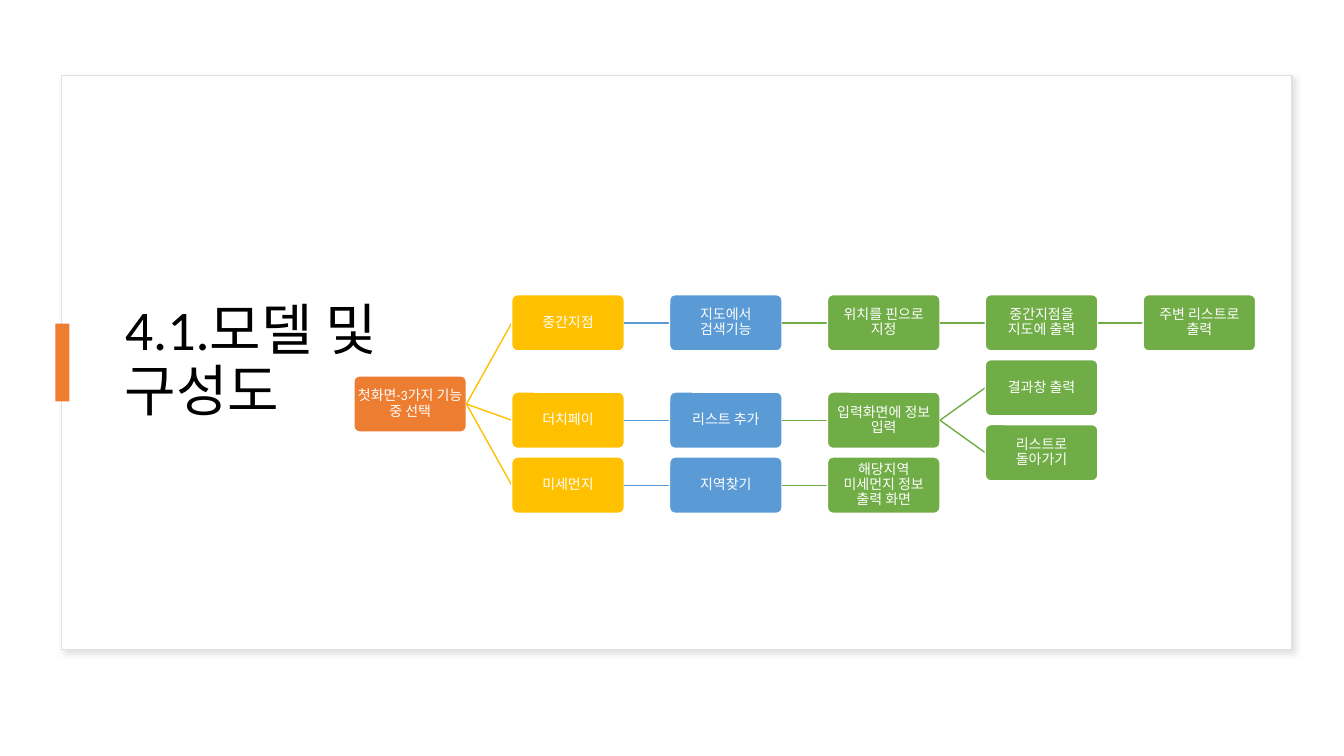
from lxml.etree import SubElement
from pptx import Presentation
from pptx.dml.color import RGBColor
from pptx.enum.shapes import MSO_CONNECTOR, MSO_SHAPE
from pptx.enum.text import MSO_ANCHOR, MSO_AUTO_SIZE, PP_ALIGN
from pptx.oxml.ns import qn
from pptx.util import Pt

COLORS = {
    "white": "FFFFFF",
    "black": "000000",
    "border": "E1E1E1",
    "shadow": "C5C3C3",
    "orange": "ED7D31",
    "gold": "FFC000",
    "blue": "5B9BD5",
    "green": "70AD47",
}
LEVEL_COLORS = ["orange", "gold", "blue", "green", "green", "green"]
FONT = "Calibri"

NODE_WIDTH, NODE_HEIGHT = 80.4, 40.2
COLUMN_STEP, ROW_STEP = 112.75, 46.4

FLOW = ("첫화면-3가지 기능 중 선택", 1.25, [
    ("중간지점", 0, [
        ("지도에서 검색기능", 0, [
            ("위치를 핀으로 지정", 0, [
                ("중간지점을 지도에 출력", 0, [
                    ("주변 리스트로 출력", 0, [])])])])]),
    ("더치페이", 1.5, [
        ("리스트 추가", 1.5, [
            ("입력화면에 정보 입력", 1.5, [
                ("결과창 출력", 1, []),
                ("리스트로 돌아가기", 2, [])])])]),
    ("미세먼지", 2.5, [
        ("지역찾기", 2.5, [
            ("해당지역 미세먼지 정보 출력 화면", 2.5, [])])]),
])


def color(name):
    return RGBColor.from_string(COLORS[name])


def add_block(page, kind, box, fill, line=None):
    block = page.shapes.add_shape(kind, *map(Pt, box))
    block.shadow.inherit = False
    block.fill.solid()
    block.fill.fore_color.rgb = color(fill)
    if line:
        block.line.color.rgb = color(line)
        block.line.width = Pt(1)
    else:
        block.line.fill.background()
    return block


def add_card(page, box):
    card = add_block(page, MSO_SHAPE.RECTANGLE, box, "white", "border")
    effects = card.element.spPr.find(qn("a:effectLst"))
    shadow = SubElement(effects, qn("a:outerShdw"), blurRad=str(Pt(4)),
                        dist=str(Pt(3)), dir="2700000", algn="tl", rotWithShape="0")
    tint = SubElement(shadow, qn("a:srgbClr"), val=COLORS["shadow"])
    SubElement(tint, qn("a:alpha"), val="50000")
    page.shapes.title.element.addprevious(card.element)


def add_heading(page, box, text):
    left, top, width, height = box
    title = page.shapes.title
    title.left, title.top, title.width, title.height = map(Pt, box)
    frame = title.text_frame
    frame.text = text
    frame.word_wrap = True
    frame.auto_size = MSO_AUTO_SIZE.NONE
    frame.vertical_anchor = MSO_ANCHOR.MIDDLE
    para = frame.paragraphs[0]
    para.alignment = PP_ALIGN.LEFT
    para.line_spacing = 0.9
    para.font.size = Pt(40)
    para.font.name = FONT
    para.font.color.rgb = color("black")
    accent = (left - 42.4, top + height / 2 - 28, 10, 55.5)
    add_block(page, MSO_SHAPE.RECTANGLE, accent, "orange")


def add_node(page, box, text, fill):
    node = add_block(page, MSO_SHAPE.ROUNDED_RECTANGLE, box, fill, "white")
    node.adjustments[0] = 0.1
    frame = node.text_frame
    frame.word_wrap = True
    frame.vertical_anchor = MSO_ANCHOR.MIDDLE
    frame.margin_left = frame.margin_right = Pt(1.75)
    frame.margin_top = frame.margin_bottom = Pt(1.75)
    frame.text = text
    para = frame.paragraphs[0]
    para.alignment = PP_ALIGN.CENTER
    para.line_spacing = 0.9
    para.font.size = Pt(10)
    para.font.name = FONT
    para.font.color.rgb = color("white")


def add_link(page, start, end, tint):
    link = page.shapes.add_connector(MSO_CONNECTOR.STRAIGHT, *map(Pt, start + end))
    link.line.color.rgb = color(tint)
    link.line.width = Pt(1)
    SubElement(link.element.spPr, qn("a:effectLst"))


def add_flow(page, origin, branch, level=0):
    text, row, children = branch
    left = origin[0] + level * COLUMN_STEP
    top = origin[1] + row * ROW_STEP
    add_node(page, (left, top, NODE_WIDTH, NODE_HEIGHT), text, LEVEL_COLORS[level])
    for child in children:
        start = (left + NODE_WIDTH, top + NODE_HEIGHT / 2)
        end = (left + COLUMN_STEP, origin[1] + child[1] * ROW_STEP + NODE_HEIGHT / 2)
        add_link(page, start, end, LEVEL_COLORS[level + 1])
        add_flow(page, origin, child, level + 1)


def main():
    deck = Presentation()
    deck.slide_width, deck.slide_height = Pt(960), Pt(540)
    page = deck.slides.add_slide(deck.slide_layouts[5])
    add_card(page, (44, 54, 879, 410))
    add_heading(page, (82, 86.4, 214, 345.6), "4.1.모델 및 구성도")
    add_flow(page, (252.8, 210.5), FLOW)
    deck.save("out.pptx")


if __name__ == "__main__":
    main()
